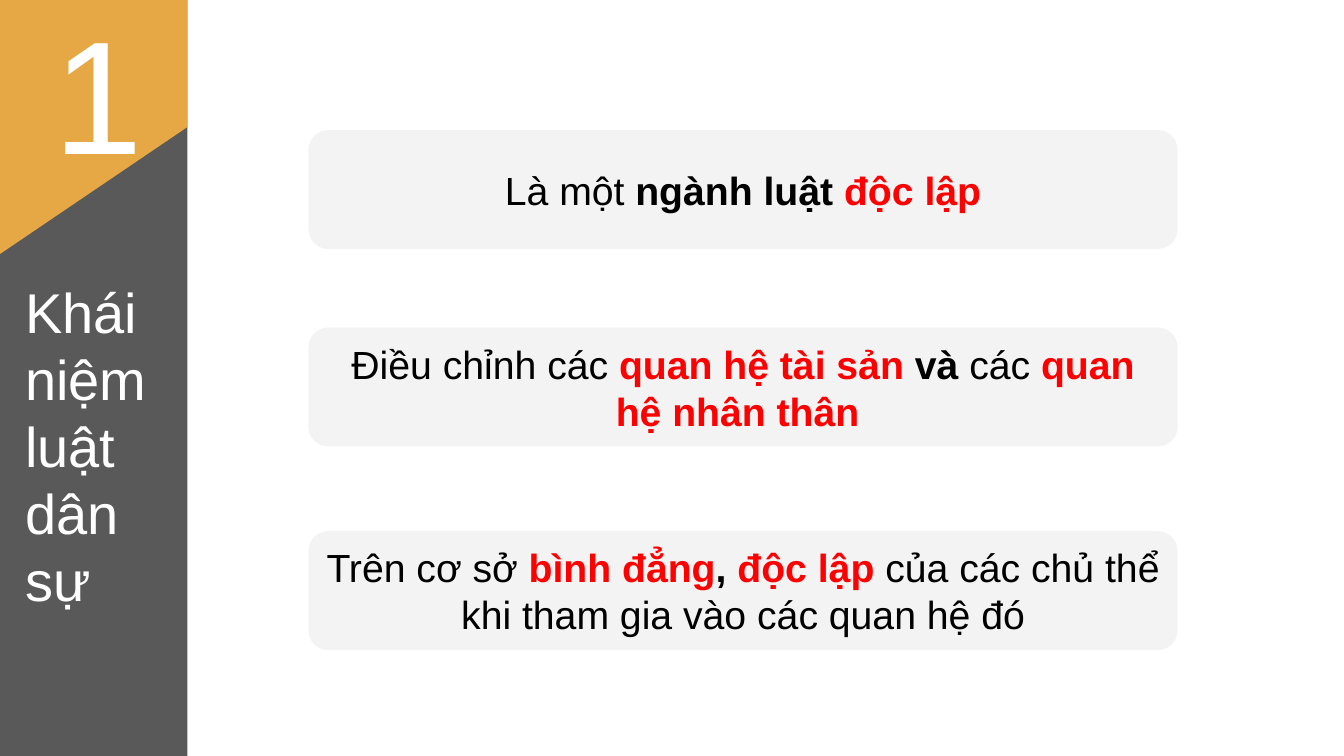
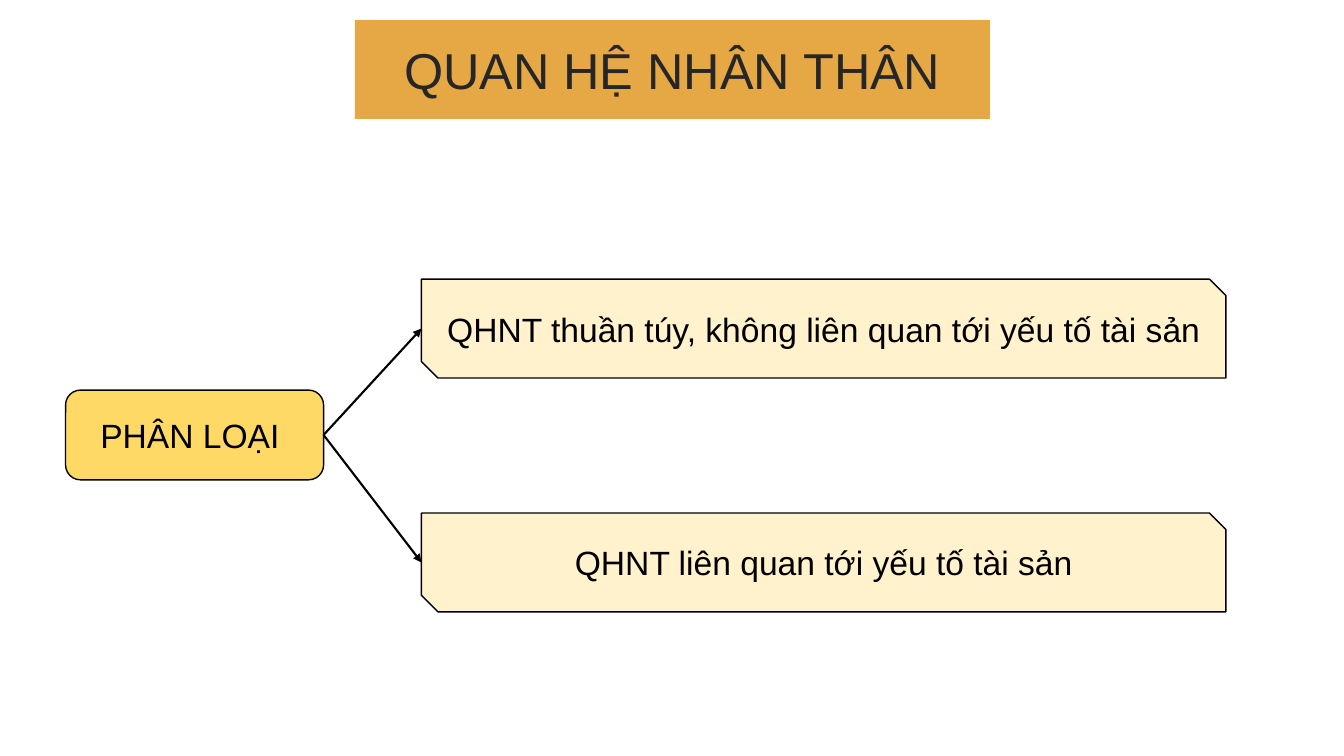
from lxml import etree
from pptx import Presentation
from pptx import util as u
from pptx.dml.color import RGBColor
from pptx.enum import shapes, text
from pptx.oxml import ns

COLORS = {
    "orange": "E5A845", "gray": "595959", "card": "F2F2F2", "yellow": "FFD966",
    "cream": "FFF2CC", "black": "000000", "ink": "262626", "red": "FF0000",
    "white": "FFFFFF",
}
FONT = "Arial"

prs = Presentation()
prs.slide_width, prs.slide_height = u.Inches(13.333), u.Inches(7.5)
TITLE_ONLY = prs.slide_layouts[5]


def area(*percents):
    """Turn x, y, x, y ... shares of the slide (in percent) into lengths."""
    sides = (prs.slide_width, prs.slide_height)
    return [u.Emu(round(p * sides[i % 2] / 100)) for i, p in enumerate(percents)]


def style(shape, runs, size, fill=None, line=None, align=text.PP_ALIGN.CENTER,
          anchor=text.MSO_ANCHOR.MIDDLE):
    """Fill and outline a shape; write runs of (text, colour, bold) into it."""
    if fill:
        shape.fill.solid()
        shape.fill.fore_color.rgb = RGBColor.from_string(COLORS[fill])
    if line:
        shape.line.color.rgb = RGBColor.from_string(COLORS[line])
        shape.line.width = u.Pt(1)
    elif fill:
        shape.line.fill.background()
    if hasattr(shape, "shadow"):
        shape.shadow.inherit = False
    frame = shape.text_frame
    frame.word_wrap = True
    frame.auto_size = text.MSO_AUTO_SIZE.NONE
    frame.vertical_anchor = anchor
    paragraph = frame.paragraphs[0]
    paragraph.alignment = align
    for words, color, bold in runs:
        run = paragraph.add_run()
        run.text = words
        run.font.name, run.font.size, run.font.bold = FONT, u.Pt(size), bold
        run.font.color.rgb = RGBColor.from_string(COLORS[color])


# Slide 1: sidebar with section number and title
concept = prs.slides.add_slide(TITLE_ONLY)
SIDEBAR = 13.95
sidebar = concept.shapes.add_shape(shapes.MSO_SHAPE.RECTANGLE, *area(0, 0, SIDEBAR, 100))
style(sidebar, [], 28, "gray")

outline = concept.shapes.build_freeform(0, 0)
outline.add_line_segments([area(SIDEBAR, 0), area(SIDEBAR, 16.8), area(0, 33.6)])
style(outline.convert_to_shape(), [], 28, "orange")

number = concept.shapes.add_textbox(*area(3.23, -1.47, 28.35, 27.2))
style(number, [("1", "white", False)], 115, align=text.PP_ALIGN.LEFT,
      anchor=text.MSO_ANCHOR.TOP)

heading = concept.shapes.title
heading.left, heading.top, heading.width, heading.height = area(1.12, 36, 14.1, 55.2)
style(heading, [("Khái niệm luật dân sự", "white", False)], 40,
      align=text.PP_ALIGN.JUSTIFY, anchor=text.MSO_ANCHOR.TOP)
heading.element.getparent().append(heading.element)  # in front of the sidebar

# Slide 1: three cards of the definition
definition = [
    (17.2, [("Là một ", "black", False), ("ngành luật ", "black", True),
            ("độc lập", "red", True)]),
    (43.33, [("Điều chỉnh các ", "black", False), ("quan hệ tài sản ", "red", True),
             ("và ", "black", True), ("các ", "black", False),
             ("quan hệ nhân thân ", "red", True)]),
    (70.27, [("Trên cơ sở ", "black", False), ("bình đẳng", "red", True),
             (", ", "black", True), ("độc lập ", "red", True),
             ("của các chủ thể khi tham gia vào các quan hệ đó", "black", False)]),
]
for top, runs in definition:
    card = concept.shapes.add_shape(shapes.MSO_SHAPE.ROUNDED_RECTANGLE,
                                    *area(22.95, top, 64.67, 15.73))
    style(card, runs, 28, "card")
    tint = card.element.spPr.find(ns.qn("a:solidFill"))[0]
    etree.SubElement(tint, ns.qn("a:alpha"), val="85000")

# Slide 2: title band
relations = prs.slides.add_slide(TITLE_ONLY)
band = relations.shapes.title
band.left, band.top, band.width, band.height = area(26.4, 2.67, 47.26, 13.07)
style(band, [("QUAN HỆ NHÂN THÂN", "ink", False)], 36, "orange")

# Slide 2: classification and its two branches
root = relations.shapes.add_shape(shapes.MSO_SHAPE.ROUNDED_RECTANGLE,
                                  *area(4.88, 51.6, 19.2, 11.87))
style(root, [("PHÂN LOẠI ", "black", False)], 24, "yellow", "black")

branches = [
    (36.93, "QHNT thuần túy, không liên quan tới yếu tố tài sản"),
    (67.87, "QHNT liên quan tới yếu tố tài sản"),
]
for top, words in branches:
    branch = relations.shapes.add_shape(shapes.MSO_SHAPE.SNIP_2_DIAG_RECTANGLE,
                                        *area(31.36, top, 59.86, 13.07))
    style(branch, [(words, "black", False)], 24, "cream", "black")

    arrow = relations.shapes.add_connector(
        shapes.MSO_CONNECTOR.STRAIGHT,
        root.left + root.width, root.top + root.height // 2,
        branch.left, branch.top + branch.height // 2)
    arrow.begin_connect(root, 3)
    arrow.line.color.rgb = RGBColor.from_string(COLORS["black"])
    arrow.line.width = u.Pt(1.5)
    etree.SubElement(arrow.line._get_or_add_ln(), ns.qn("a:tailEnd"), type="triangle")
    etree.SubElement(arrow.element.spPr, ns.qn("a:effectLst"))

prs.save("out.pptx")
